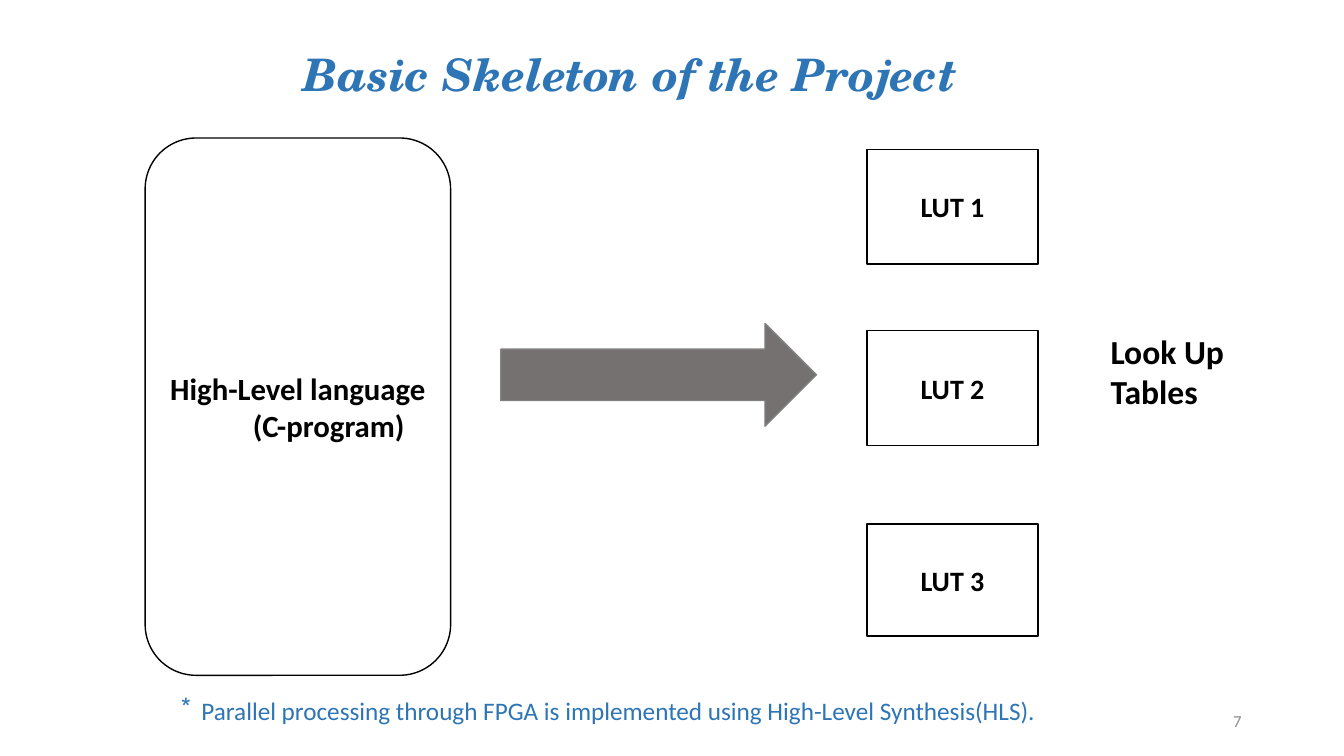
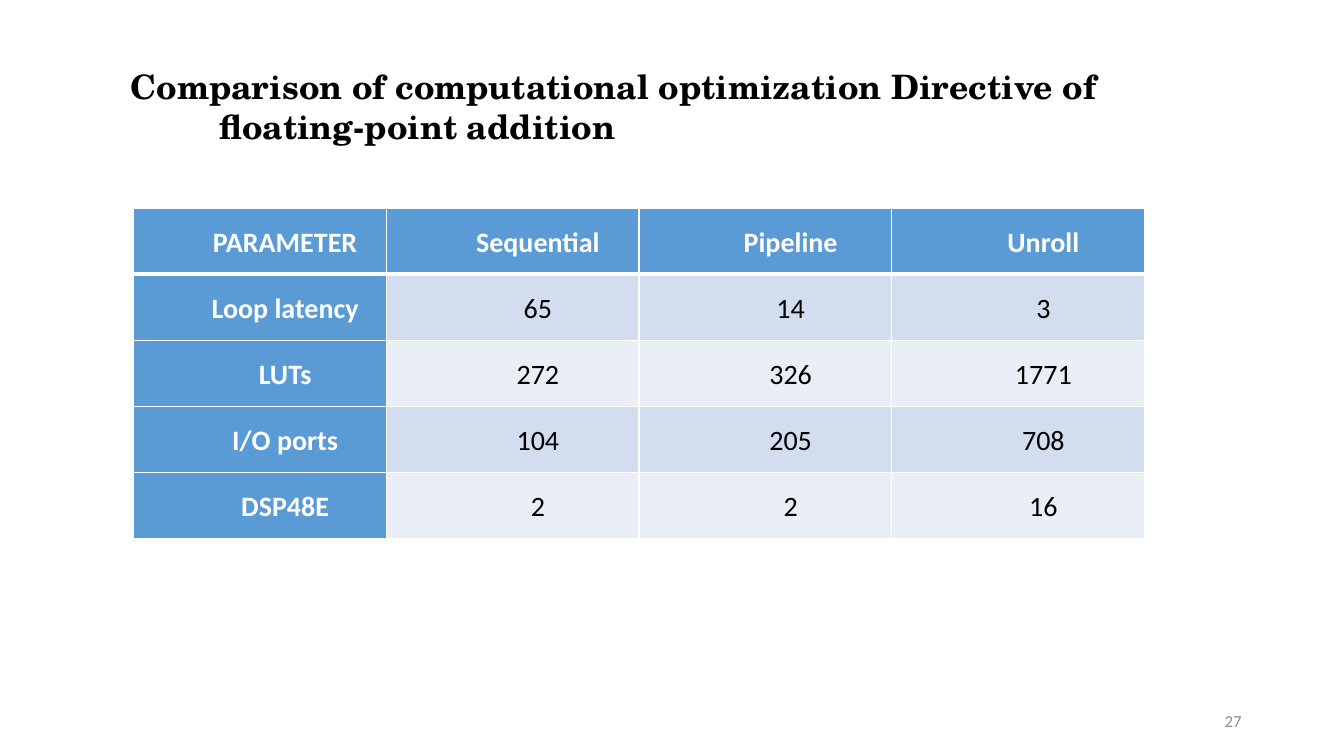
import pptx
import pptx.dml.color
import pptx.enum.shapes
import pptx.enum.text
import pptx.oxml.ns
import pptx.util
from lxml import etree

Pt = pptx.util.Pt
ALIGN = pptx.enum.text.PP_ALIGN
ANCHOR = pptx.enum.text.MSO_ANCHOR
SHAPE = pptx.enum.shapes.MSO_SHAPE
qn = pptx.oxml.ns.qn

COLORS = {
    "ink": "000000",
    "paper": "FFFFFF",
    "accent": "2E75B6",
    "arrow": "767171",
    "arrow_edge": "808080",
    "page": "8C8C8C",
    "header": "5B9BD5",
    "band_dark": "D2DEEF",
    "band_light": "EAEFF7",
}
BODY_FONT = "Calibri"
TITLE_FONT = "TeX Gyre Schola"


def rgb(color):
    return pptx.dml.color.RGBColor.from_string(COLORS[color])


class Deck:
    def __init__(self):
        self.presentation = pptx.Presentation()
        self.presentation.slide_width = Pt(960)
        self.presentation.slide_height = Pt(540)
        self.slide = None

    def new_slide(self, number):
        blank = self.presentation.slide_layouts[6]
        self.slide = self.presentation.slides.add_slide(blank)
        self.text((678, 500.4, 216, 28.8), [number], 12, "page",
                  align=ALIGN.RIGHT, anchor=ANCHOR.MIDDLE)

    def set_lines(self, frame, lines, size, color="ink", bold=False, italic=False,
                  font=BODY_FONT, align=ALIGN.LEFT, spacing=1.0, indents=(0,)):
        font_format = {"name": font, "size": Pt(size), "bold": bold, "italic": italic}
        paragraph_format = {"alignment": align, "line_spacing": spacing}
        for index, line in enumerate(lines):
            paragraph = frame.add_paragraph() if index else frame.paragraphs[0]
            for key, value in paragraph_format.items():
                setattr(paragraph, key, value)
            if indents[index]:
                paragraph._p.get_or_add_pPr().set("marL", str(Pt(indents[index])))
            run = paragraph.add_run()
            run.text = line
            for key, value in font_format.items():
                setattr(run.font, key, value)
            run.font.color.rgb = rgb(color)

    def text(self, box, lines, size, color="ink", anchor=ANCHOR.TOP, **style):
        frame = self.slide.shapes.add_textbox(*map(Pt, box)).text_frame
        frame.word_wrap = True
        frame.vertical_anchor = anchor
        self.set_lines(frame, lines, size, color, **style)
        return frame

    def title(self, box, lines, size, color="ink", **style):
        self.text(box, lines, size, color, bold=True, font=TITLE_FONT, **style)

    def bullet(self, box, line, size, color, mark, hang):
        frame = self.text(box, [line], size, color, indents=(hang,))
        properties = frame.paragraphs[0]._p.get_or_add_pPr()
        properties.set("indent", str(-Pt(hang)))
        etree.SubElement(properties, qn("a:buChar")).set("char", mark)

    def block(self, kind, box, fill="paper", edge="ink", lines=(), size=20, **style):
        shape = self.slide.shapes.add_shape(kind, *map(Pt, box))
        shape.shadow.inherit = False
        shape.fill.solid()
        shape.fill.fore_color.rgb = rgb(fill)
        shape.line.color.rgb = rgb(edge)
        shape.line.width = Pt(1)
        frame = shape.text_frame
        frame_format = {"word_wrap": True, "vertical_anchor": ANCHOR.MIDDLE,
                        "margin_left": Pt(3.6), "margin_right": Pt(3.6)}
        for key, value in frame_format.items():
            setattr(frame, key, value)
        self.set_lines(frame, lines, size, bold=True, align=ALIGN.CENTER, **style)

    def border(self, cell, widths):
        properties = cell._tc.get_or_add_tcPr()
        for side, width in widths.items():
            line = etree.SubElement(properties, qn("a:ln" + side), w=str(Pt(width)))
            fill = etree.SubElement(line, qn("a:solidFill"))
            etree.SubElement(fill, qn("a:srgbClr"), val=COLORS["paper"])

    def table(self, box, rows):
        table = self.slide.shapes.add_table(len(rows), len(rows[0]), *map(Pt, box)).table
        table.first_row = table.horz_banding = False
        cell_format = {"margin_left": Pt(5), "margin_right": Pt(5),
                       "margin_top": 0, "margin_bottom": 0}
        for r, values in enumerate(rows):
            for c, value in enumerate(values):
                cell = table.cell(r, c)
                for key, margin in cell_format.items():
                    setattr(cell, key, margin)
                self.border(cell, {"L": 1, "R": 1, "T": 3 if r == 1 else 1,
                                   "B": 3 if r == 0 else 1})
                heading = r == 0 or c == 0
                band = "band_dark" if r % 2 else "band_light"
                cell.fill.solid()
                cell.fill.fore_color.rgb = rgb("header" if heading else band)
                self.set_lines(cell.text_frame, [value], 20,
                               "paper" if heading else "ink", bold=heading,
                               align=ALIGN.CENTER, spacing=1.5, indents=(36,))


def skeleton_slide(deck):
    deck.new_slide("7")
    deck.title((36, 9.5, 828, 91.5), ["Basic Skeleton of the Project"], 32, "accent",
               italic=True, align=ALIGN.CENTER, anchor=ANCHOR.MIDDLE, spacing=0.9)
    deck.block(SHAPE.ROUNDED_RECTANGLE, (103.7, 98.6, 218.2, 383.8),
               lines=["High-Level language", "(C-program)"], size=22, indents=(0, 44))
    deck.block(SHAPE.RIGHT_ARROW, (357.8, 231, 225.4, 73.5), "arrow", "arrow_edge")
    lut_rows = [(106.6, 82), (236.2, 82), (374.4, 80)]
    for number, (top, height) in enumerate(lut_rows, 1):
        deck.block(SHAPE.RECTANGLE, (619.2, top, 122.4, height), lines=[f"LUT {number}"])
    deck.text((786.2, 206.6, 123.8, 117.4), ["Look Up Tables"], 24,
              bold=True, anchor=ANCHOR.MIDDLE)
    deck.bullet((122.4, 493.2, 815.8, 28.8),
                "Parallel processing through FPGA is implemented using "
                "High-Level Synthesis(HLS).", 18, "accent", "*", 14.4)


def comparison_slide(deck):
    deck.new_slide("27")
    deck.title((86.4, 43.2, 758.2, 65.5),
               ["Comparison of computational optimization Directive of",
                "floating-point addition"], 24, indents=(0, 63))
    deck.table((95.4, 148.7, 722.2, 236), [
        ["PARAMETER", "Sequential", "Pipeline", "Unroll"],
        ["Loop latency", "65", "14", "3"],
        ["LUTs", "272", "326", "1771"],
        ["I/O ports", "104", "205", "708"],
        ["DSP48E", "2", "2", "16"],
    ])


def main():
    deck = Deck()
    skeleton_slide(deck)
    comparison_slide(deck)
    deck.presentation.save("out.pptx")


if __name__ == "__main__":
    main()
